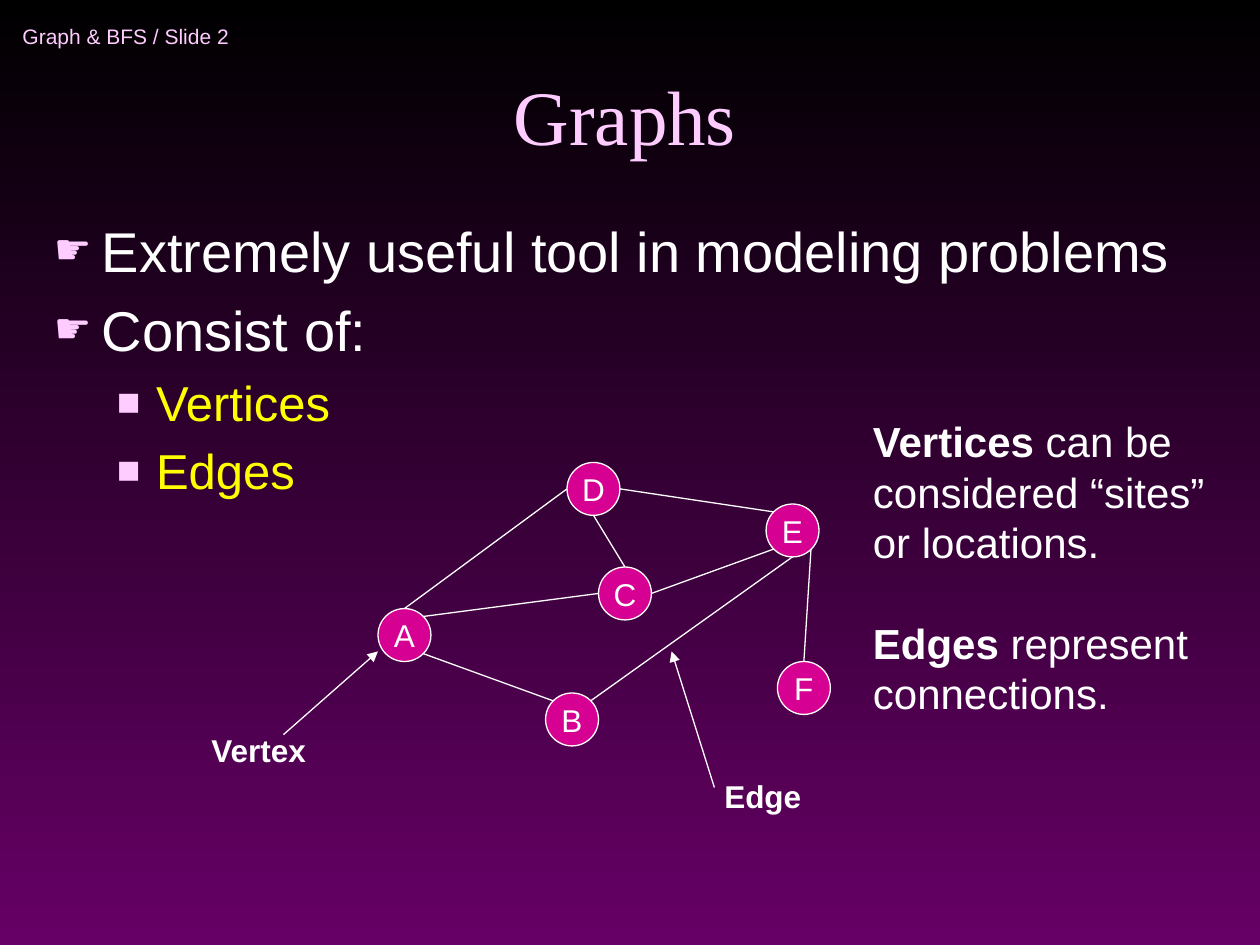
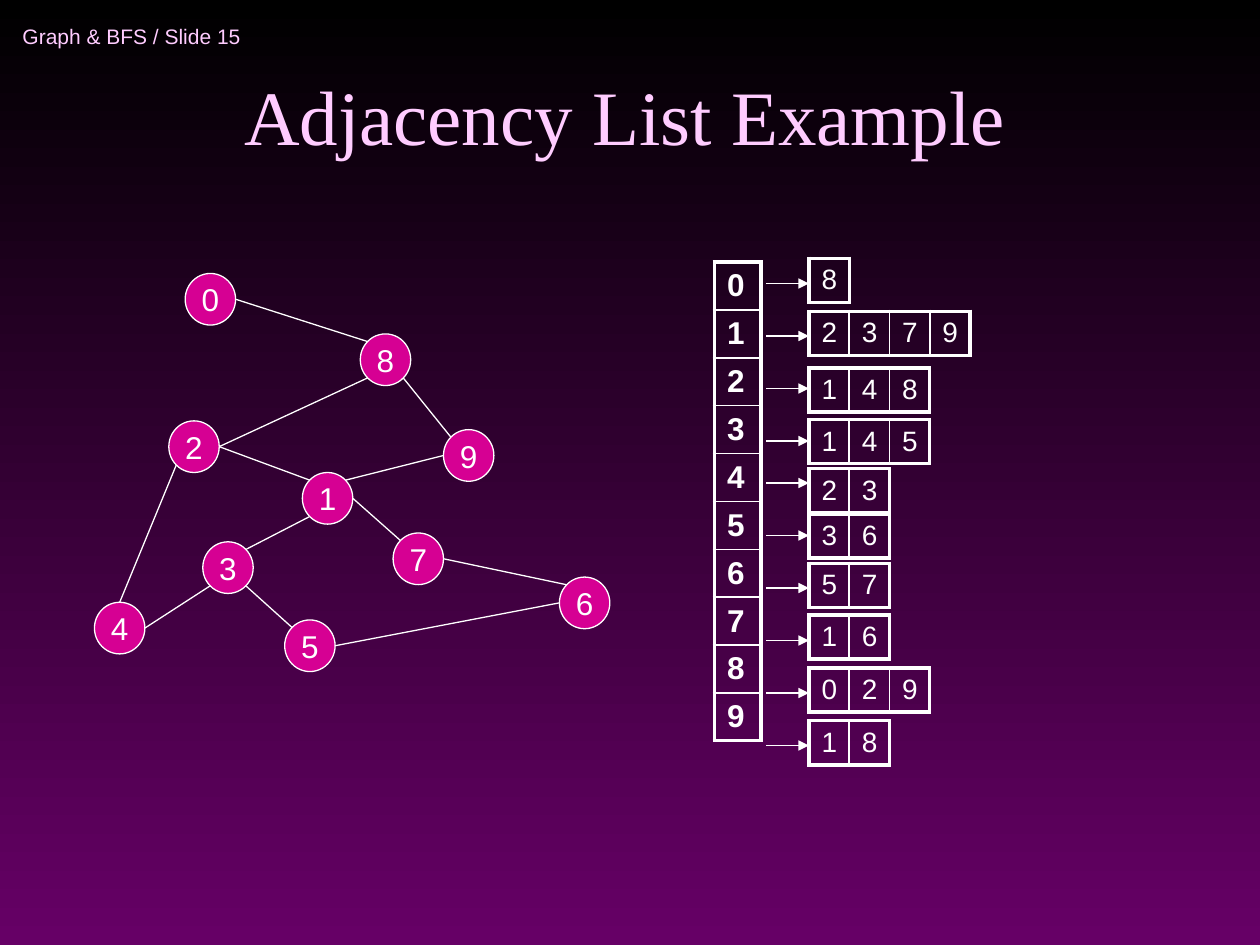
"""Build two slides on graphs and their adjacency lists."""
from lxml.etree import SubElement
from pptx import Presentation
from pptx.dml.color import RGBColor
from pptx.enum.shapes import MSO_CONNECTOR, MSO_SHAPE
from pptx.enum.text import MSO_ANCHOR, PP_ALIGN
from pptx.oxml.ns import qn
from pptx.util import Inches, Pt

WHITE, PINK, MAGENTA, YELLOW = "FFFFFF", "FFCCFF", "D60093", "FFFF00"
BACKGROUND = ("000000", "660066")
BODY_FONT, TITLE_FONT = "Arial", "Times New Roman"
THIN, THICK = 1, 2.25

LEVELS = [
    dict(size=32, color=WHITE, indent=0.38, hang=0.38, bullet="☛", scale=75),
    dict(size=28, color=YELLOW, indent=0.81, hang=0.31, bullet="■", scale=80),
]
POINTS = [
    (0, "Extremely useful tool in modeling problems"),
    (0, "Consist of:"),
    (1, "Vertices"),
    (1, "Edges"),
]
REMARKS = [
    ("Vertices", " can be\vconsidered “sites”\vor locations.", 0),
    ("Edges", " represent", 28.8),
    ("", "connections.", 0),
]
CALLOUTS = [
    ("Vertex", (1.58, 5.75, 0.97, 0.4), (2.25, 5.83), (3, 5.17)),
    ("Edge", (5.65, 6.12, 0.81, 0.4), (5.67, 6.25), (5.33, 5.17)),
]
LETTER_SIZE = (0.42, 0.42)
LETTERS = {"D": (4.5, 3.67), "E": (6.08, 4), "A": (3, 4.83),
           "C": (4.75, 4.5), "F": (6.17, 5.25), "B": (4.33, 5.5)}
LETTER_EDGES = ["A.SE B.NW", "A.NE C.W", "D.W A.N", "D.S C.N",
                "D.E E.NW", "C.E E.SW", "F.N E.SE", "E.S B.NE"]

DIGIT_SIZE = (0.4, 0.41)
DIGITS = {"2": (1.34, 3.34), "4": (0.75, 4.78), "3": (1.61, 4.3),
          "5": (2.26, 4.92), "1": (2.4, 3.75), "7": (3.12, 4.23),
          "6": (4.44, 4.58), "9": (3.52, 3.41), "8": (2.86, 2.65),
          "0": (1.47, 2.17)}
DIGIT_EDGES = ["0.E 8.NW", "8.SE 9.NW", "9.W 1.NE", "8.SW 2.E", "2.E 1.NW",
               "2.SW 4.N", "4.E 3.SW", "3.NE 1.SW", "3.SE 5.NW", "5.E 6.W",
               "1.E 7.NW", "7.E 6.NW"]
NEIGHBOURS = [("8", 2.05), ("2379", 2.47), ("148", 2.92), ("145", 3.33),
              ("23", 3.72), ("36", 4.08), ("57", 4.47), ("16", 4.88),
              ("029", 5.3), ("18", 5.72)]

SITES = {"N": (0, -0.5), "S": (0, 0.5), "W": (-0.5, 0), "E": (0.5, 0),
         "NW": (-0.35, -0.35), "NE": (0.35, -0.35),
         "SW": (-0.35, 0.35), "SE": (0.35, 0.35)}


def rgb(code):
    return RGBColor.from_string(code)


def style(paragraph, size, color=WHITE, font=BODY_FONT, bold=False):
    for run in paragraph.runs:
        run.font.size, run.font.name, run.font.bold = Pt(size), font, bold
        run.font.color.rgb = rgb(color)


def add_frame(slide, box, wrap=True):
    frame = slide.shapes.add_textbox(*map(Inches, box)).text_frame
    frame.word_wrap = wrap
    return frame


def add_line(slide, start, end, arrow=False):
    line = slide.shapes.add_connector(
        MSO_CONNECTOR.STRAIGHT, *map(Inches, (*start, *end)))
    line.line.color.rgb = rgb(WHITE)
    line.line.width = Pt(0.75)
    if arrow:
        SubElement(line.line._get_or_add_ln(), qn("a:tailEnd"), type="triangle")
    SubElement(line._element.spPr, qn("a:effectLst"))


def add_graph(slide, nodes, size, edges):
    width, height = size
    for label, corner in nodes.items():
        node = slide.shapes.add_shape(
            MSO_SHAPE.OVAL, *map(Inches, (*corner, *size)))
        node.shadow.inherit = False
        node.fill.solid()
        node.fill.fore_color.rgb = rgb(MAGENTA)
        node.line.color.rgb = rgb(WHITE)
        node.line.width = Pt(0.75)
        frame = node.text_frame
        frame.word_wrap = False
        frame.vertical_anchor = MSO_ANCHOR.MIDDLE
        frame.text = label
        frame.paragraphs[0].alignment = PP_ALIGN.CENTER
        style(frame.paragraphs[0], 18)

    def site_point(end):
        label, site = end.split(".")
        (left, top), (dx, dy) = nodes[label], SITES[site]
        return left + width * (0.5 + dx), top + height * (0.5 + dy)

    for edge in edges:
        add_line(slide, *map(site_point, edge.split()))


def add_grid(slide, rows, corner, cell_width, cell_height, size, bold=False):
    row_count, column_count = len(rows), len(rows[0])
    box = (*corner, cell_width * column_count, cell_height * row_count)
    grid = slide.shapes.add_table(
        row_count, column_count, *map(Inches, box)).table
    grid.first_row = grid.horz_banding = False
    for column in grid.columns:
        column.width = Inches(cell_width)
    for r, row in enumerate(rows):
        grid.rows[r].height = Inches(cell_height)
        for c, value in enumerate(row):
            cell = grid.cell(r, c)
            cell.text = value
            cell.margin_top = cell.margin_bottom = 0
            cell.vertical_anchor = MSO_ANCHOR.MIDDLE
            style(cell.text_frame.paragraphs[0], size, bold=bold)
            outer = {"L": c == 0, "R": c == column_count - 1,
                     "T": r == 0, "B": r == row_count - 1}
            properties = cell._tc.get_or_add_tcPr()
            for side, is_outer in outer.items():
                border = SubElement(properties, qn(f"a:ln{side}"),
                                    w=str(Pt(THICK if is_outer else THIN)))
                fill = SubElement(border, qn("a:solidFill"))
                SubElement(fill, qn("a:srgbClr"), val=WHITE)
            cell.fill.background()


def add_slide(deck, number, title):
    slide = deck.slides.add_slide(deck.slide_layouts[6])
    fill = slide.background.fill
    fill.gradient()
    fill.gradient_angle = 270
    for stop, color in zip(fill.gradient_stops, BACKGROUND):
        stop.color.rgb = rgb(color)
    header = add_frame(slide, (0.08, 0.08, 2.75, 0.42))
    header.vertical_anchor = MSO_ANCHOR.MIDDLE
    header.text = f"Graph & BFS / Slide {number}"
    style(header.paragraphs[0], 12, PINK)
    heading = add_frame(slide, (0.67, 0.25, 8.58, 1.08))
    heading.vertical_anchor = MSO_ANCHOR.BOTTOM
    heading.text = title
    heading.paragraphs[0].alignment = PP_ALIGN.CENTER
    style(heading.paragraphs[0], 44, PINK, TITLE_FONT)
    return slide


def add_points(slide):
    frame = add_frame(slide, (0.33, 1.67, 9.42, 5.12))
    frame.text = "\n".join(text for _, text in POINTS)
    for paragraph, (depth, _) in zip(frame.paragraphs, POINTS):
        level = LEVELS[depth]
        paragraph.level = depth
        paragraph.space_before = Pt(0.2 * level["size"])
        style(paragraph, level["size"], level["color"])
        properties = paragraph._p.get_or_add_pPr()
        properties.set("marL", str(Inches(level["indent"])))
        properties.set("indent", str(-Inches(level["hang"])))
        color = SubElement(properties, qn("a:buClr"))
        SubElement(color, qn("a:srgbClr"), val=PINK)
        SubElement(properties, qn("a:buSzPct"), val=str(level["scale"] * 1000))
        SubElement(properties, qn("a:buFont"), typeface=BODY_FONT)
        SubElement(properties, qn("a:buChar"), char=level["bullet"])


def add_remarks(slide):
    frame = add_frame(slide, (6.83, 3.25, 2.84, 2.5), wrap=False)
    frame.text = "\n".join(term + rest for term, rest, _ in REMARKS)
    for paragraph, (term, rest, gap) in zip(frame.paragraphs, REMARKS):
        paragraph.space_before = Pt(gap)
        if term:
            paragraph.text = term
            style(paragraph, 24, bold=True)
            for i, line in enumerate(rest.split("\v")):
                if i:
                    paragraph.add_line_break()
                run = paragraph.add_run()
                run.text = line
                run.font.size, run.font.name = Pt(24), BODY_FONT
                run.font.color.rgb = rgb(WHITE)
        else:
            style(paragraph, 24)


def build_graphs(deck):
    slide = add_slide(deck, 2, "Graphs")
    add_points(slide)
    add_graph(slide, LETTERS, LETTER_SIZE, LETTER_EDGES)
    for label, box, start, end in CALLOUTS:
        add_line(slide, start, end, arrow=True)
        frame = add_frame(slide, box, wrap=False)
        frame.text = label
        style(frame.paragraphs[0], 18, bold=True)
    add_remarks(slide)


def build_adjacency_list(deck):
    slide = add_slide(deck, 15, "Adjacency List Example")
    add_graph(slide, DIGITS, DIGIT_SIZE, DIGIT_EDGES)
    vertices = [str(i) for i in range(len(NEIGHBOURS))]
    add_grid(slide, vertices, (5.67, 2.08), 0.37, 0.38, 18, bold=True)
    for i, (neighbours, top) in enumerate(NEIGHBOURS):
        arrow_y = 2.25 + i * 5 / 12 - (1 / 12 if i >= 4 else 0)
        add_line(slide, (6.08, arrow_y), (6.42, arrow_y), arrow=True)
        add_grid(slide, [neighbours], (6.42, top), 0.32, 0.35, 16)


def main():
    deck = Presentation()
    deck.slide_width, deck.slide_height = Inches(10), Inches(7.5)
    build_graphs(deck)
    build_adjacency_list(deck)
    deck.save("out.pptx")


if __name__ == "__main__":
    main()
